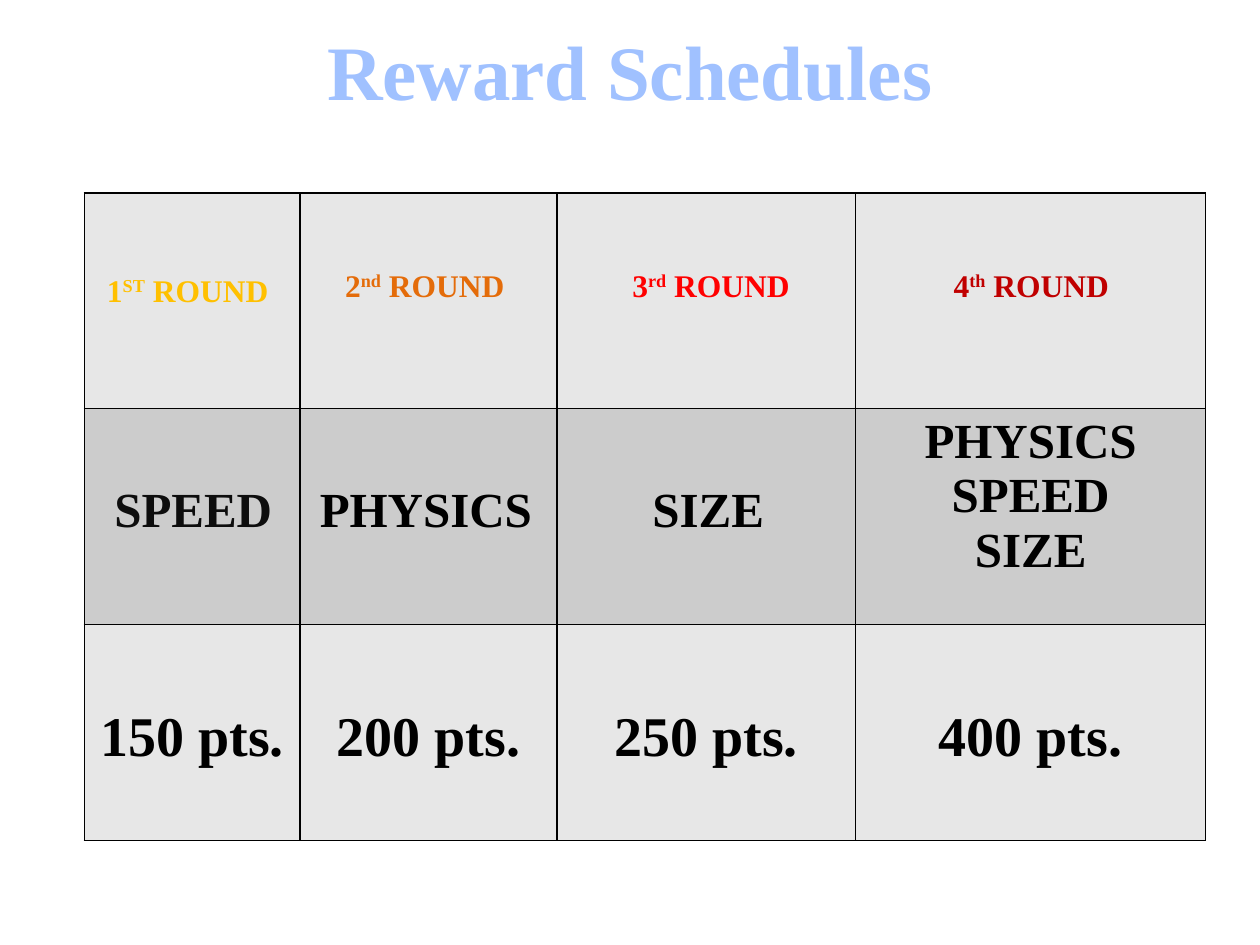
from dataclasses import dataclass

from lxml import etree
from pptx import Presentation
from pptx.dml.color import RGBColor
from pptx.enum.text import MSO_ANCHOR, MSO_AUTO_SIZE, PP_ALIGN
from pptx.oxml.ns import qn
from pptx.util import Inches, Pt

CENTER = PP_ALIGN.CENTER
MIDDLE = MSO_ANCHOR.MIDDLE
GROW = MSO_AUTO_SIZE.SHAPE_TO_FIT_TEXT
BLANK_LAYOUT = 6


@dataclass(frozen=True)
class Theme:
    font: str = "Times New Roman"
    title: str = "A0C1FF"
    text: str = "000000"
    soft_text: str = "0D0D0D"
    border: str = "000000"
    bands: tuple = ("E7E7E7", "CCCCCC", "E7E7E7")
    title_size: int = 44
    round_size: int = 18
    skill_size: int = 28
    points_size: int = 32


@dataclass(frozen=True)
class Box:
    left: float
    top: float
    width: float
    height: float

    def lengths(self) -> tuple:
        return tuple(map(Inches, (self.left, self.top, self.width, self.height)))


@dataclass(frozen=True)
class RoundLabel:
    number: str
    suffix: str
    color: str
    box: Box


@dataclass(frozen=True)
class SkillLabel:
    text: str
    color: str
    box: Box


THEME = Theme()
TABLE_BOX = Box(0.67, 1.53, 8.9, 5.14)
COLUMN_WIDTHS = (1.71, 2.04, 2.37, 2.78)
POINTS = ("150 pts.", "200 pts.", "250 pts.", "400 pts.")
POINTS_TOP_MARGIN = 0.65
FINAL_SKILLS = ("PHYSICS", "SPEED", "SIZE")
ROUNDS = (
    RoundLabel("1", "ST", "FFC000", Box(0.75, 2.1, 1.52, 0.4)),
    RoundLabel("2", "nd", "E46C0A", Box(2.64, 2.06, 1.5, 0.4)),
    RoundLabel("3", "rd", "FF0000", Box(4.92, 2.06, 1.49, 0.4)),
    RoundLabel("4", "th", "C00000", Box(7.47, 2.06, 1.47, 0.4)),
)
SKILLS = (
    SkillLabel("SPEED", THEME.soft_text, Box(0.81, 3.75, 1.47, 0.57)),
    SkillLabel("PHYSICS", THEME.text, Box(2.44, 3.75, 1.91, 0.57)),
    SkillLabel("SIZE", THEME.text, Box(5.08, 3.75, 1.1, 0.57)),
)


def style_paragraph(paragraph, size: int, color: str, alignment=None) -> None:
    font = paragraph.font
    font.name, font.size, font.bold = THEME.font, Pt(size), True
    font.color.rgb = RGBColor.from_string(color)
    paragraph.alignment = alignment


def add_label(slide, box: Box, parts: tuple, size: int, color: str):
    """Add an unwrapped line of text; every second part is superscript."""
    shape = slide.shapes.add_textbox(*box.lengths())
    frame = shape.text_frame
    frame.word_wrap = False
    frame.auto_size = GROW
    paragraph = frame.paragraphs[0]
    style_paragraph(paragraph, size, color)
    for index, part in enumerate(parts):
        run = paragraph.add_run()
        run.text = part
        if index % 2:
            run.font._element.set("baseline", "30000")


def add_title(slide, text: str) -> None:
    shape = slide.shapes.add_textbox(*Box(0.75, 0, 8.5, 1.1).lengths())
    frame = shape.text_frame
    frame.word_wrap = True
    frame.vertical_anchor = MIDDLE
    frame.text = text
    style_paragraph(frame.paragraphs[0], THEME.title_size, THEME.title, CENTER)


def style_cell(cell, fill: str) -> None:
    properties = cell._tc.get_or_add_tcPr()
    for side in ("lnL", "lnR", "lnT", "lnB"):
        line = etree.SubElement(properties, qn(f"a:{side}"), w=str(Pt(1)))
        solid = etree.SubElement(line, qn("a:solidFill"))
        etree.SubElement(solid, qn("a:srgbClr"), val=THEME.border)
    cell.fill.solid()
    cell.fill.fore_color.rgb = RGBColor.from_string(fill)


def write_cell(cell, lines: tuple, size: int) -> None:
    cell.text = "\n".join(lines)
    for paragraph in cell.text_frame.paragraphs:
        style_paragraph(paragraph, size, THEME.text, CENTER)


def add_reward_table(slide) -> None:
    row_count = len(THEME.bands)
    table = slide.shapes.add_table(
        row_count, len(COLUMN_WIDTHS), *TABLE_BOX.lengths()
    ).table
    for column, width in zip(table.columns, COLUMN_WIDTHS):
        column.width = Inches(width)
    for row, fill in zip(table.rows, THEME.bands):
        row.height = Inches(TABLE_BOX.height / row_count)
        for cell in row.cells:
            style_cell(cell, fill)

    # The last round combines all skills
    write_cell(table.cell(1, 3), FINAL_SKILLS, THEME.skill_size)
    for column_index, points in enumerate(POINTS):
        cell = table.cell(2, column_index)
        cell.margin_top = Inches(POINTS_TOP_MARGIN)
        write_cell(cell, (points,), THEME.points_size)


def main() -> None:
    presentation = Presentation()
    presentation.slide_width = Inches(10)
    presentation.slide_height = Inches(7.5)
    slide = presentation.slides.add_slide(presentation.slide_layouts[BLANK_LAYOUT])

    # Title and table
    add_title(slide, "Reward Schedules")
    add_reward_table(slide)

    # Labels over the first two rows
    for label in ROUNDS:
        parts = (label.number, label.suffix, " ROUND")
        add_label(slide, label.box, parts, THEME.round_size, label.color)
    for label in SKILLS:
        add_label(slide, label.box, (label.text,), THEME.skill_size, label.color)

    presentation.save("out.pptx")


if __name__ == "__main__":
    main()
